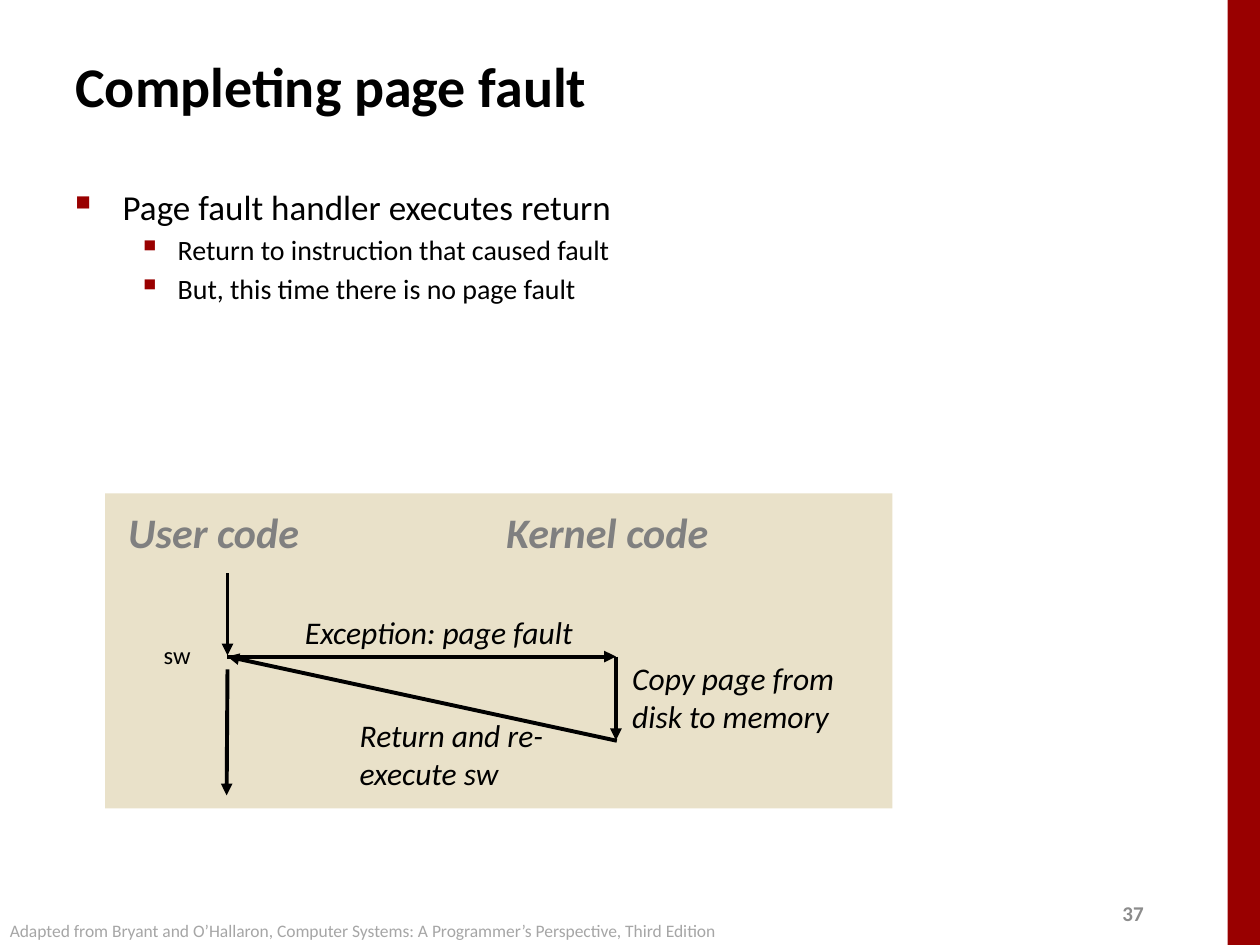
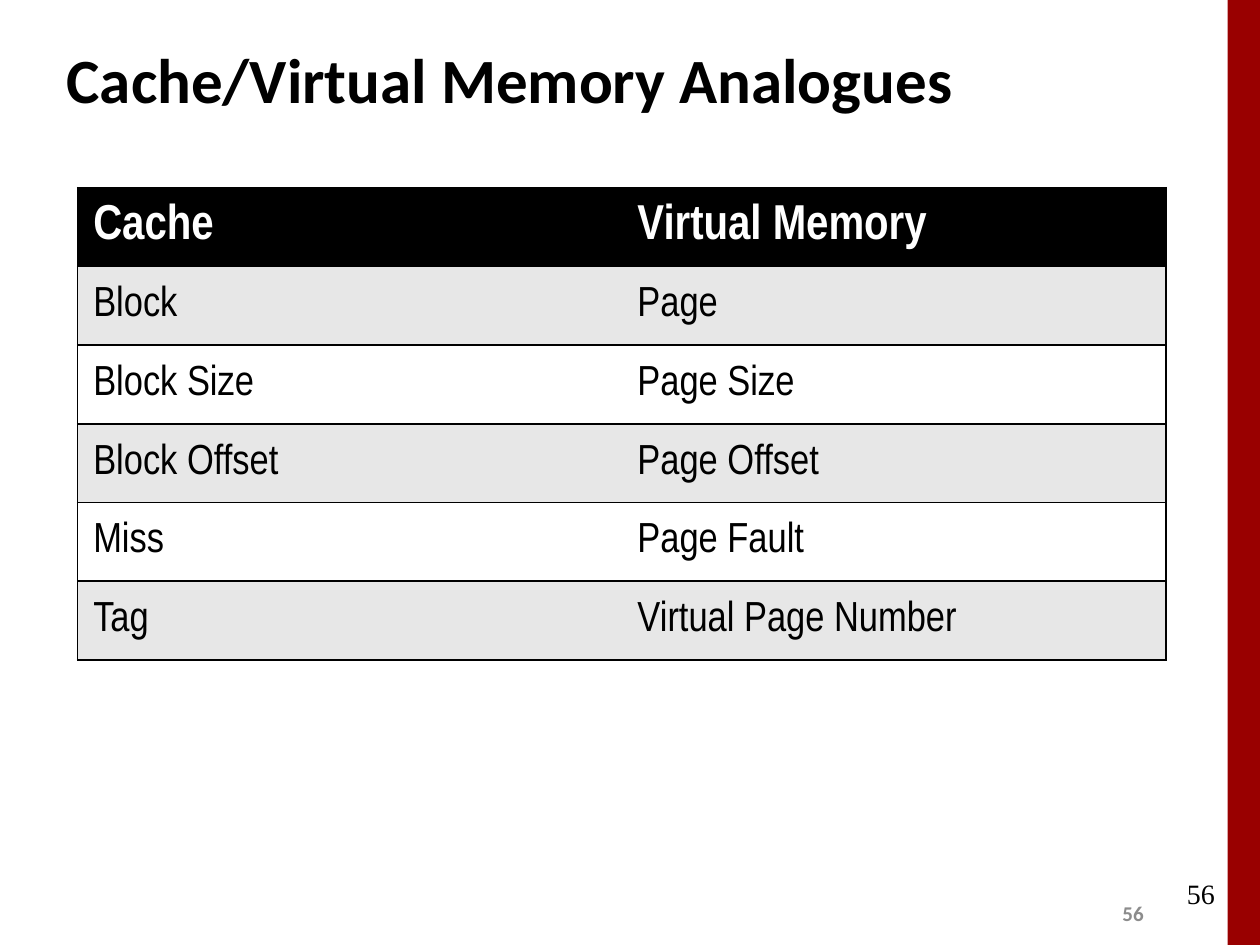
"""Build two virtual memory slides: completing a page fault and cache analogues."""
from dataclasses import dataclass

from lxml.etree import SubElement
from pptx import Presentation
from pptx.dml.color import RGBColor as RGB
from pptx.enum.shapes import MSO_CONNECTOR as CONN, MSO_SHAPE as SHAPE
from pptx.enum.text import MSO_ANCHOR as ANCHOR, PP_ALIGN as ALIGN
from pptx.oxml.ns import qn
from pptx.util import Pt


@dataclass(frozen=True)
class Theme:
    font: str = "Calibri"
    table_font: str = "Arial Narrow"
    serif: str = "Times New Roman"
    black: str = "000000"
    white: str = "FFFFFF"
    red: str = "990000"
    sand: str = "E9E1C9"
    stripe: str = "E7E7E7"
    heading: str = "808080"
    number: str = "8C8C8C"
    credit: str = "A6A6A6"
    head_size: int = 24
    label_size: int = 18
    code_size: int = 14
    number_size: int = 12
    credit_size: int = 10
    table_head: int = 28
    table_body: int = 24
    corner_size: int = 16
    line: float = 2.25
    border: float = 1


T = Theme()
W, H = 720, 540
BAND_W = 18.5

FAULT = {"title": "Completing page fault", "number": "37",
         "title_box": (36, 26.6, 621, 44), "title_size": 32}
ANALOGUES = {"title": "Cache/Virtual Memory Analogues", "number": "56",
             "title_box": (31, 15, 598, 60), "title_size": 36}

BULLETS = [
    (0, "Page fault handler executes return"),
    (1, "Return to instruction that caused fault"),
    (1, "But, this time there is no page fault"),
]
LEVELS = [
    {"size": 20, "margin": 27, "hang": 27, "char": "■", "pct": 60},
    {"size": 16, "margin": 58.5, "hang": 22.5, "char": "▪", "pct": 110},
]
BODY_BOX = (36, 102.2, 426, 140)
PANEL = (60, 282, 450, 180)
HEADINGS = [("User code", 66.2), ("Kernel code", 282.2)]
LABELS = [
    ("Exception: page fault", (167.2, 346.5, 174, 29), False),
    ("Copy page from disk to memory", (354.2, 373, 155.5, 50), True),
    ("Return and re-execute sw", (198.5, 405.5, 143.5, 50), True),
]
USER_X, KERNEL_X = 130, 352
FAULT_Y, RETURN_Y = 375.2, 423
ARROWS = [
    (USER_X, 327.5, USER_X, FAULT_Y - 0.7),
    (USER_X, FAULT_Y, KERNEL_X, FAULT_Y),
    (KERNEL_X, FAULT_Y, KERNEL_X, RETURN_Y),
    (KERNEL_X + 0.5, RETURN_Y + 0.3, USER_X, FAULT_Y),
    (USER_X, 382.5, USER_X - 0.5, 454.5),
]
CREDIT = ("Adapted from Bryant and O’Hallaron, Computer Systems: "
          "A Programmer’s Perspective, Third Edition")

ROWS = [
    ("Cache", "Virtual Memory"),
    ("Block", "Page"),
    ("Block Size", "Page Size"),
    ("Block Offset", "Page Offset"),
    ("Miss", "Page Fault"),
    ("Tag", "Virtual Page Number"),
]
TABLE_AT = (44.3, 107.2)
COL_W, ROW_H = 311, 45


def put(tf, text, *, new=False, size=T.label_size, font=T.font, color=T.black,
        bold=False, italic=False, align=ALIGN.LEFT, before=0):
    p = tf.add_paragraph() if new else tf.paragraphs[0]
    p.alignment, p.space_before = align, Pt(before)
    r = p.add_run()
    r.text = text
    f = r.font
    f.size, f.name, f.bold, f.italic = Pt(size), font, bold, italic
    f.color.rgb = RGB.from_string(color)
    return p


def add_box(s, box, wrap=True, anchor=ANCHOR.TOP):
    tf = s.shapes.add_textbox(*map(Pt, box)).text_frame
    tf.word_wrap, tf.vertical_anchor = wrap, anchor
    return tf


def add_rect(s, box, color):
    sp = s.shapes.add_shape(SHAPE.RECTANGLE, *map(Pt, box))
    sp.shadow.inherit = False
    sp.fill.solid()
    sp.fill.fore_color.rgb = RGB.from_string(color)
    sp.line.fill.background()


def add_arrow(s, x1, y1, x2, y2):
    c = s.shapes.add_connector(CONN.STRAIGHT, *map(Pt, (x1, y1, x2, y2)))
    c.line.width = Pt(T.line)
    c.line.color.rgb = RGB.from_string(T.black)
    SubElement(c.line._get_or_add_ln(), qn("a:tailEnd"), type="triangle")
    SubElement(c._element.spPr, qn("a:effectLst"))


def set_bullet(p, level):
    pPr = p._p.get_or_add_pPr()
    pPr.set("marL", str(Pt(level["margin"])))
    pPr.set("indent", str(-Pt(level["hang"])))
    color = SubElement(pPr, qn("a:buClr"))
    SubElement(color, qn("a:srgbClr"), val=T.red)
    SubElement(pPr, qn("a:buSzPct"), val=str(level["pct"] * 1000))
    SubElement(pPr, qn("a:buChar"), char=level["char"])


def set_borders(cell, sides):
    tcPr = cell._tc.get_or_add_tcPr()
    for i, side in enumerate(("L", "R", "T", "B")):
        ln = tcPr.makeelement(qn(f"a:ln{side}"), {"w": str(Pt(T.border))})
        if side in sides:
            fill = SubElement(ln, qn("a:solidFill"))
            SubElement(fill, qn("a:srgbClr"), val=T.black)
        else:
            SubElement(ln, qn("a:noFill"))
        tcPr.insert(i, ln)


def add_slide(prs, info):
    s = prs.slides.add_slide(prs.slide_layouts[6])
    add_rect(s, (W - BAND_W, 0, BAND_W, H), T.red)
    put(add_box(s, (634.3, 511.2, 28.8, 21.6), False, ANCHOR.MIDDLE),
        info["number"], size=T.number_size, color=T.number, bold=True)
    put(add_box(s, info["title_box"], anchor=ANCHOR.MIDDLE),
        info["title"], size=info["title_size"], bold=True)
    return s


def build_fault(prs):
    s = add_slide(prs, FAULT)
    add_rect(s, PANEL, T.sand)
    tf = add_box(s, BODY_BOX)
    for i, (depth, text) in enumerate(BULLETS):
        level = LEVELS[depth]
        p = put(tf, text, new=i > 0, size=level["size"], before=level["size"] / 5)
        p.level = depth
        set_bullet(p, level)
    for text, x in HEADINGS:
        put(add_box(s, (x, 286, 130, 36), False), text,
            size=T.head_size, color=T.heading, bold=True, italic=True)
    for arrow in ARROWS:
        add_arrow(s, *arrow)
    for text, box, wrap in LABELS:
        put(add_box(s, box, wrap), text, italic=True)
    put(add_box(s, (86.4, 362, 30, 24.5), False), "sw", size=T.code_size)
    put(add_box(s, (-1.5, 522, 428.5, 19.4), False), CREDIT,
        size=T.credit_size, color=T.credit)


def build_analogues(prs):
    s = add_slide(prs, ANALOGUES)
    size = (COL_W * len(ROWS[0]), ROW_H * len(ROWS))
    table = s.shapes.add_table(len(ROWS), len(ROWS[0]),
                               *map(Pt, TABLE_AT + size)).table
    for col in table.columns:
        col.width = Pt(COL_W)
    for i, row in enumerate(ROWS):
        table.rows[i].height = Pt(ROW_H)
        head = i == 0
        fill = T.black if head else (T.white, T.stripe)[i % 2]
        pt = T.table_head if head else T.table_body
        for j, text in enumerate(row):
            cell = table.cell(i, j)
            cell.margin_left = cell.margin_right = Pt(9)
            cell.margin_top = cell.margin_bottom = Pt(3.6)
            cell.vertical_anchor = ANCHOR.MIDDLE
            cell.fill.solid()
            cell.fill.fore_color.rgb = RGB.from_string(fill)
            put(cell.text_frame, text, size=pt, font=T.table_font, bold=head,
                color=T.white if head else T.black, before=pt / 5)
            set_borders(cell, "TB" + "LR"[j])
    put(add_box(s, (533.5, 497.5, 167.8, 36)), ANALOGUES["number"],
        size=T.corner_size, font=T.serif, align=ALIGN.RIGHT)


def main():
    prs = Presentation()
    prs.slide_width, prs.slide_height = Pt(W), Pt(H)
    build_fault(prs)
    build_analogues(prs)
    prs.save("out.pptx")


if __name__ == "__main__":
    main()
